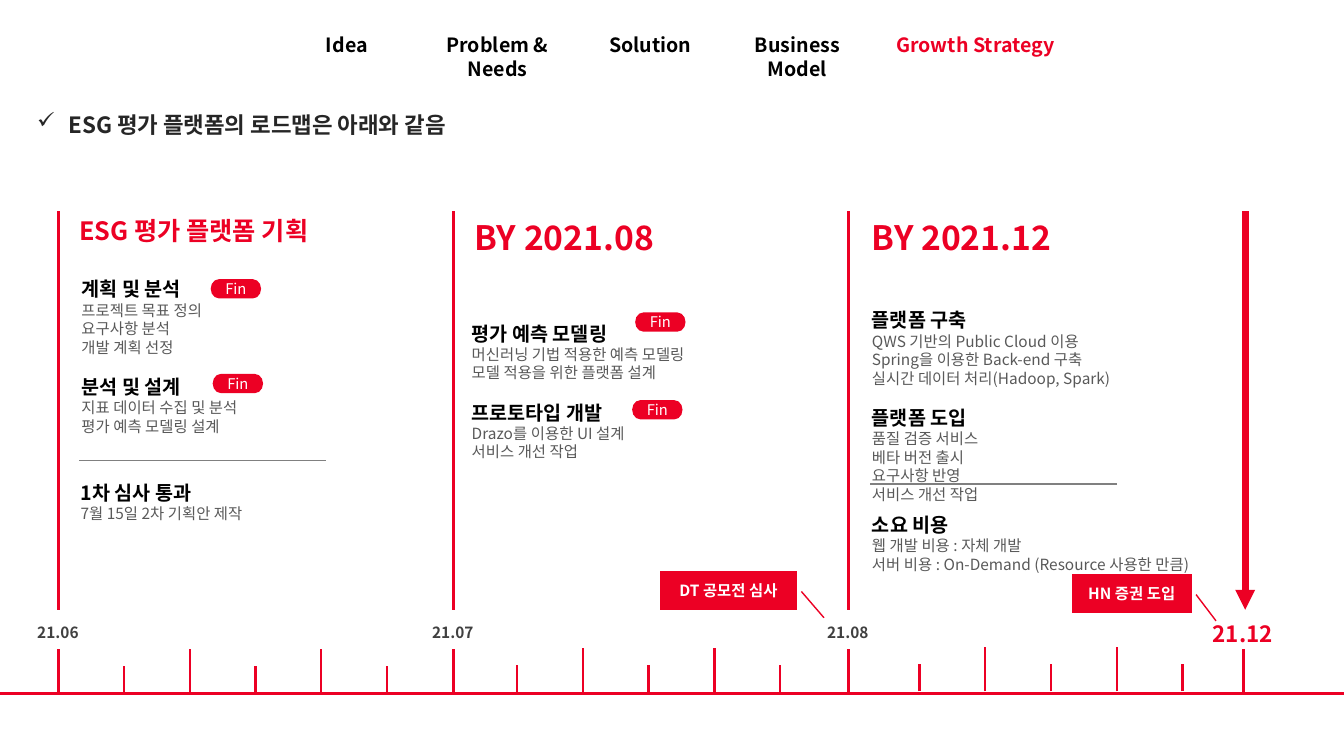
"""Builds the ESG platform roadmap slide with its monthly timeline."""
from lxml.etree import SubElement
from pptx import Presentation
from pptx.dml.color import RGBColor
from pptx.enum.shapes import MSO_CONNECTOR, MSO_SHAPE
from pptx.enum.text import MSO_ANCHOR, MSO_AUTO_SIZE, PP_ALIGN
from pptx.oxml.ns import qn
from pptx.util import Inches, Pt

FONT = "Noto Sans CJK KR"
RED, BLACK, WHITE = "EC0024", "000000", "FFFFFF"
DARK, BODY, RULE, TITLE = "404040", "595959", "808080", "262626"
WIDTH, HEIGHT = 13.33, 7.5
MONTH_START, MONTH_STEP, TICK_STEP = 0.58, 3.917, 0.652
AXIS_Y, TALL, SHORT = 6.88, 0.44, 0.27
FLAG_TOP, FLAG_BOTTOM = 2.09, 6.05
colour = RGBColor.from_string

deck = Presentation()
deck.slide_width, deck.slide_height = Inches(WIDTH), Inches(HEIGHT)
slide = deck.slides.add_slide(deck.slide_layouts[6])
shapes = slide.shapes


def write(at, rows, align=PP_ALIGN.LEFT, wrap=True, shape=None):
    """Put rows of (text, size, colour, bold, space before) in a shape or a new text box."""
    frame = (shape or shapes.add_textbox(*map(Inches, at))).text_frame
    frame.word_wrap = wrap
    if shape is None:
        frame.auto_size = MSO_AUTO_SIZE.SHAPE_TO_FIT_TEXT
    else:
        frame.vertical_anchor = MSO_ANCHOR.MIDDLE
    for index, (text, size, ink, bold, gap) in enumerate(rows):
        paragraph = frame.add_paragraph() if index else frame.paragraphs[0]
        paragraph.text = text
        paragraph.alignment = align
        if gap:
            paragraph.space_before = Pt(gap)
        font = paragraph.font
        font.name, font.size, font.bold = FONT, Pt(size), bold
        font.color.rgb = colour(ink)
        defaults = paragraph._p.get_or_add_pPr().get_or_add_defRPr()
        SubElement(defaults, qn("a:ea"), typeface=FONT)
    return frame


def draw_line(x1, y1, x2, y2, weight, ink=RED):
    """Draw a straight line without a shadow."""
    connector = shapes.add_connector(MSO_CONNECTOR.STRAIGHT, *map(Inches, (x1, y1, x2, y2)))
    connector.line.color.rgb = colour(ink)
    connector.line.width = Pt(weight)
    SubElement(connector._element.spPr, qn("a:effectLst"))
    return connector


draw_line(0, AXIS_Y, WIDTH, AXIS_Y, 1.75)
months = [("21.06", 11, DARK, 6.13), ("21.07", 11, DARK, 6.13),
          ("21.08", 11, DARK, 6.13), ("21.12", 16, RED, 6.1)]
for index, (month, size, ink, top) in enumerate(months):
    x = MONTH_START + index * MONTH_STEP
    draw_line(x, AXIS_Y, x, AXIS_Y - TALL, 2.5)
    write((x - 0.54, top, 1.07, 0.29), [(month, size, ink, True, 0)], PP_ALIGN.CENTER)
    if month != "21.12":
        draw_line(x, FLAG_BOTTOM, x, FLAG_TOP, 2.5)

for first_x, base in [(1.23, 6.88), (5.13, 6.87), (9.12, 6.86)]:
    for index in range(5):
        x = first_x + index * TICK_STEP
        draw_line(x, base, x, base - (TALL if index % 2 else SHORT), 1.75)

finish = draw_line(12.35, FLAG_BOTTOM, 12.35, FLAG_TOP, 4.75)
SubElement(finish.line._get_or_add_ln(), qn("a:headEnd"), type="triangle")

phases = [("ESG 평가 플랫폼 기획", 18, (0.69, 2.09, 2.66, 0.4)),
          ("BY 2021.08", 24, (4.61, 2.1, 2.08, 0.5)),
          ("BY 2021.12", 24, (8.55, 2.1, 2.08, 0.5))]
for phase, size, at in phases:
    write(at, [(phase, size, RED, True, 0)])

task_blocks = [
    ((0.71, 2.7, 1.83, 1.68), False, [
        ("계획 및 분석", ["프로젝트 목표 정의", "요구사항 분석", "개발 계획 선정"]),
        ("분석 및 설계", ["지표 데이터 수집 및 분석", "평가 예측 모델링 설계"])]),
    ((4.58, 3.14, 2.41, 1.5), False, [
        ("평가 예측 모델링", ["머신러닝 기법 적용한 예측 모델링", "모델 적용을 위한 플랫폼 설계"]),
        ("프로토타입 개발", ["Drazo를 이용한 UI 설계", "서비스 개선 작업"])]),
    ((8.55, 3.01, 2.66, 2.05), False, [
        ("플랫폼 구축", ["QWS 기반의 Public Cloud 이용", "Spring을 이용한 Back-end 구축",
                    "실시간 데이터 처리(Hadoop, Spark)"]),
        ("플랫폼 도입", ["품질 검증 서비스", "베타 버전 출시", "요구사항 반영", "서비스 개선 작업"])]),
    ((8.55, 5.04, 3.41, 0.71), True, [
        ("소요 비용", ["웹 개발 비용 : 자체 개발", "서버 비용 : On-Demand (Resource 사용한 만큼)"])]),
    ((0.7, 4.72, 1.99, 0.52), True, [
        ("1차 심사 통과", ["7월 15일 2차 기획안 제작"])]),
]
for at, wrap, tasks in task_blocks:
    rows = []
    for heading, details in tasks:
        rows.append((heading, 14, BLACK, True, 13.2 if rows else 0))
        rows += [(detail, 11, BODY, False, 0) for detail in details]
    write(at, rows, wrap=wrap)

for x, y in [(8.63, 4.8), (0.78, 4.57)]:
    draw_line(x + 2.45, y, x, y, 1, RULE)

CALLOUT, PILL = MSO_SHAPE.LINE_CALLOUT_1_NO_BORDER, MSO_SHAPE.FLOWCHART_TERMINATOR
badges = [(CALLOUT, "HN 증권 도입", (10.63, 5.69, 1.19, 0.39)),
          (CALLOUT, "DT 공모전 심사", (6.55, 5.66, 1.35, 0.39))]
badges += [(PILL, "Fin", (x, y, 0.5, 0.19))
           for x, y in [(6.3, 3.1), (6.27, 3.97), (2.09, 2.77), (2.11, 3.71)]]
for kind, label, at in badges:
    badge = shapes.add_shape(kind, *map(Inches, at))
    badge.shadow.inherit = False
    badge.fill.solid()
    badge.fill.fore_color.rgb = colour(RED)
    if kind == CALLOUT:
        badge.line.color.rgb = colour(RED)
        badge.line.width = Pt(1)
        for index, share in enumerate((0.534, 1.036, 1.202, 1.202)):
            badge.adjustments[index] = share
    else:
        badge.line.fill.background()
    is_callout = kind == CALLOUT
    write(at, [(label, 11 if is_callout else 10.5, WHITE, is_callout, 0)],
          PP_ALIGN.CENTER, shape=badge)

message = write((0.27, 0.92, WIDTH, 0.46), [("ESG 평가 플랫폼의 로드맵은 아래와 같음", 16, TITLE, True, 0)])
message.paragraphs[0].line_spacing = 1.5
message_format = message.paragraphs[0]._p.get_or_add_pPr()
message_format.set("marL", str(Inches(0.31)))
message_format.set("indent", str(-Inches(0.31)))
check = SubElement(message_format, qn("a:buChar"), char="✓")
message_format.find(qn("a:defRPr")).addprevious(check)

sections = [("Idea", 2.9, 1.08), ("Problem & Needs", 4.05, 1.77), ("Solution", 5.88, 1.14),
            ("Business Model", 7.09, 1.64), ("Growth Strategy", 8.79, 1.77)]
for section, left, width in sections:
    ink = RED if section == "Growth Strategy" else BLACK
    write((left, 0.28, width, 0.34), [(section, 14, ink, True, 0)], PP_ALIGN.CENTER)

deck.save("out.pptx")
